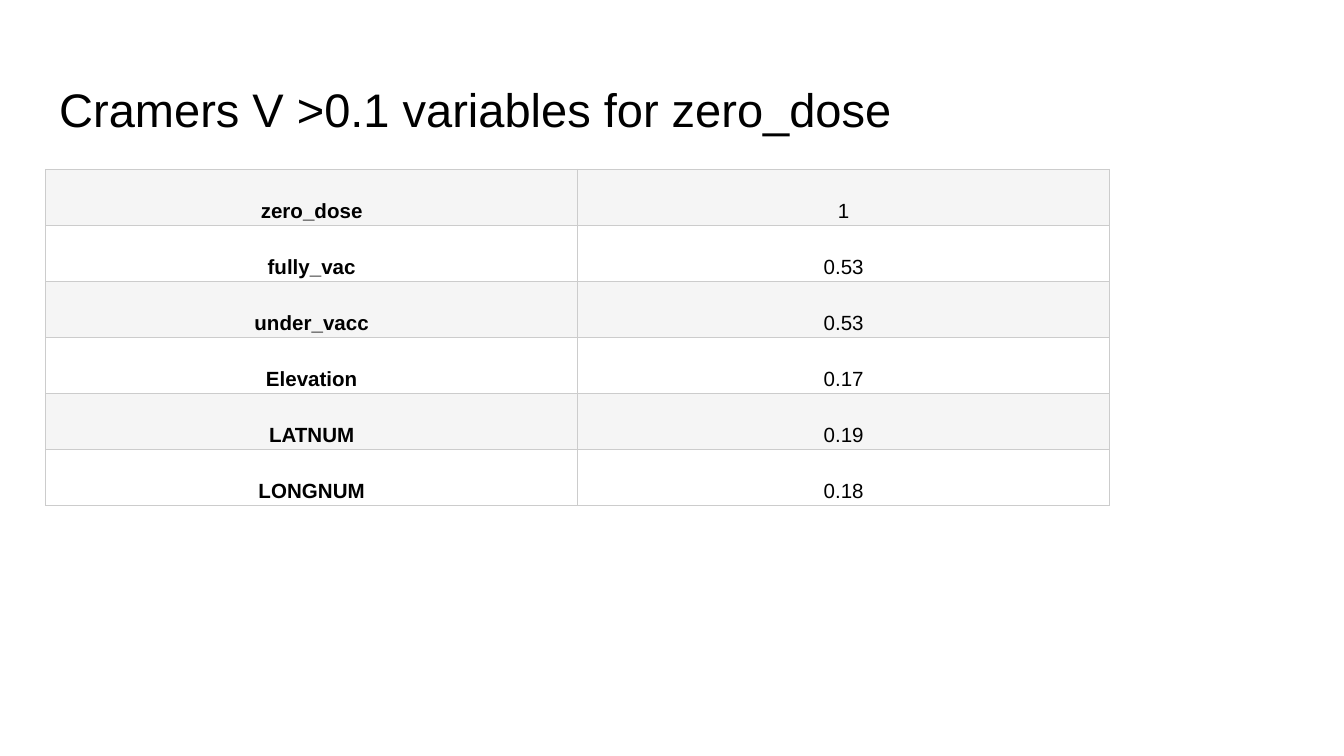
from typing import NamedTuple

from lxml import etree
from pptx import Presentation
from pptx.dml.color import RGBColor
from pptx.enum import text
from pptx.oxml import ns
from pptx.util import Pt

BLACK = RGBColor(0x00, 0x00, 0x00)
WHITE = RGBColor(0xFF, 0xFF, 0xFF)
BAND = RGBColor(0xF5, 0xF5, 0xF5)
RULE = RGBColor(0xCC, 0xCC, 0xCC)
FONT = "Arial"

LEFT = 24.5
TABLE_TOP = 90.75
COLUMN_WIDTH = 285
ROW_HEIGHT = 30


class Association(NamedTuple):
    variable: str
    cramers_v: str


ASSOCIATIONS = [
    Association("zero_dose", "1"),
    Association("fully_vac", "0.53"),
    Association("under_vacc", "0.53"),
    Association("Elevation", "0.17"),
    Association("LATNUM", "0.19"),
    Association("LONGNUM", "0.18"),
]


def style_font(paragraph, size: float, bold: bool = False) -> None:
    font = paragraph.font
    font.name, font.size, font.bold = FONT, Pt(size), bold
    font.color.rgb = BLACK


def add_borders(cell, color: RGBColor, width: float) -> None:
    """Rule all four sides; borders must come before the fill."""
    properties = cell._tc.get_or_add_tcPr()
    for position, side in enumerate(("lnL", "lnR", "lnT", "lnB")):
        line = etree.Element(ns.qn(f"a:{side}"), w=str(Pt(width)))
        fill = etree.SubElement(line, ns.qn("a:solidFill"))
        etree.SubElement(fill, ns.qn("a:srgbClr"), val=str(color))
        properties.insert(position, line)


def fill_cell(cell, words: str, bold: bool, background: RGBColor) -> None:
    cell.text = words
    cell.vertical_anchor = text.MSO_ANCHOR.BOTTOM
    cell.margin_left = cell.margin_right = Pt(2.25)
    cell.margin_top = cell.margin_bottom = Pt(1.5)
    cell.fill.solid()
    cell.fill.fore_color.rgb = background
    add_borders(cell, RULE, 0.75)
    paragraph = cell.text_frame.paragraphs[0]
    paragraph.alignment = text.PP_ALIGN.CENTER
    paragraph.line_spacing = 1.15
    style_font(paragraph, 11, bold)


def add_title(slide, words: str) -> None:
    title = slide.shapes.title
    title.left, title.top = Pt(LEFT), Pt(35.5)
    title.width, title.height = Pt(671), Pt(45)
    frame = title.text_frame
    frame.text = words
    frame.auto_size = text.MSO_AUTO_SIZE.NONE
    frame.vertical_anchor = text.MSO_ANCHOR.BOTTOM
    frame.margin_left = frame.margin_right = Pt(7.2)
    frame.margin_top = frame.margin_bottom = Pt(7.2)
    paragraph = frame.paragraphs[0]
    paragraph.alignment = text.PP_ALIGN.LEFT
    style_font(paragraph, 25.2)


def add_association_table(slide, associations: list[Association]) -> None:
    columns = len(Association._fields)
    table = slide.shapes.add_table(
        len(associations), columns, Pt(LEFT), Pt(TABLE_TOP),
        Pt(COLUMN_WIDTH * columns), Pt(ROW_HEIGHT * len(associations)),
    ).table
    table.first_row = table.horz_banding = False
    for row, association in enumerate(associations):
        background = WHITE if row % 2 else BAND
        for column, words in enumerate(association):
            fill_cell(table.cell(row, column), words, column == 0, background)


def main() -> None:
    presentation = Presentation()
    presentation.slide_width, presentation.slide_height = Pt(720), Pt(405)
    slide = presentation.slides.add_slide(presentation.slide_layouts[5])

    # Heading
    add_title(slide, "Cramers V >0.1 variables for zero_dose")

    # Variables and their association with zero_dose
    add_association_table(slide, ASSOCIATIONS)

    presentation.save("out.pptx")


if __name__ == "__main__":
    main()
